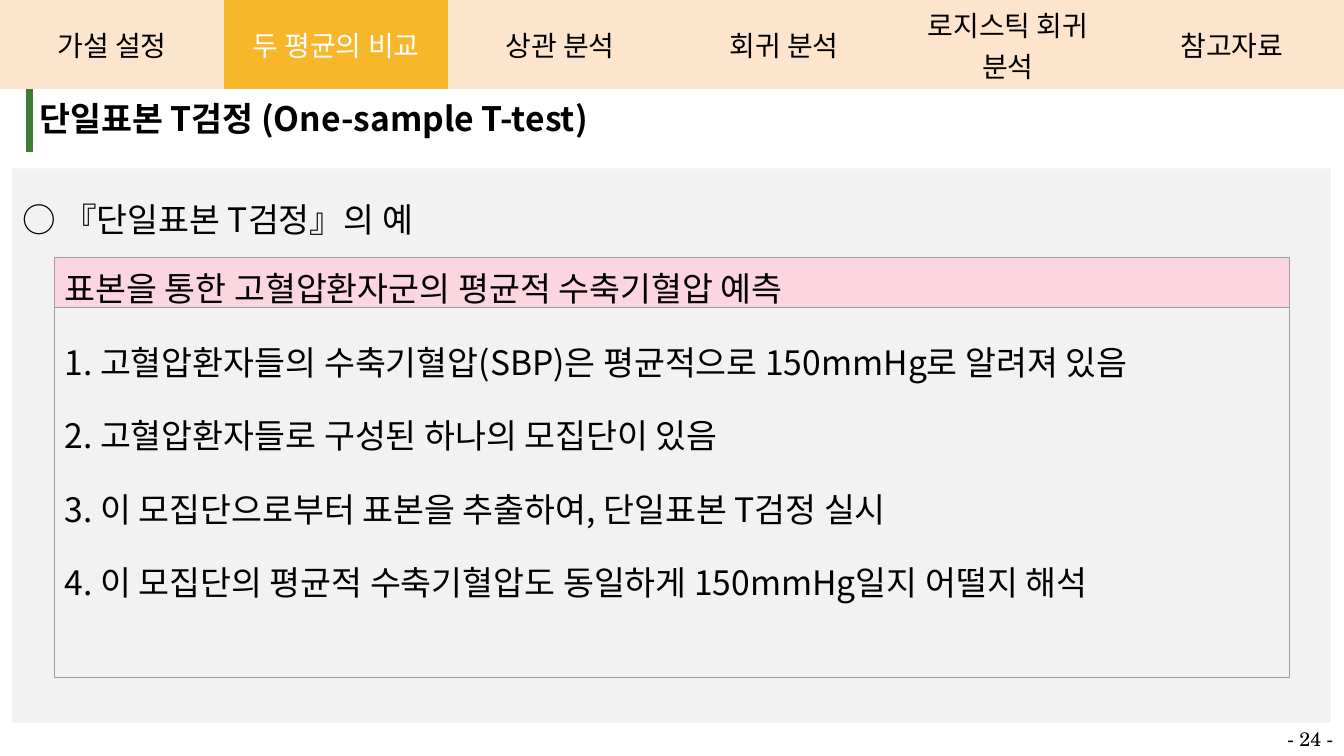
from lxml import etree
from pptx import Presentation
from pptx.dml.color import RGBColor
from pptx.enum.shapes import MSO_SHAPE
from pptx.enum.text import MSO_ANCHOR, MSO_AUTO_SIZE, PP_ALIGN
from pptx.oxml.ns import qn
from pptx.util import Inches, Pt

RECT = MSO_SHAPE.RECTANGLE
TOP, MIDDLE = MSO_ANCHOR.TOP, MSO_ANCHOR.MIDDLE
LEFT, CENTER = PP_ALIGN.LEFT, PP_ALIGN.CENTER
FIT_SHAPE = MSO_AUTO_SIZE.SHAPE_TO_FIT_TEXT

BLACK = RGBColor(0x00, 0x00, 0x00)
WHITE = RGBColor(0xFF, 0xFF, 0xFF)
PANEL = RGBColor(0xF2, 0xF2, 0xF2)
GREEN = RGBColor(0x3E, 0x7D, 0x33)
PEACH = RGBColor(0xFC, 0xE5, 0xCC)
ORANGE = RGBColor(0xF8, 0xB6, 0x2A)
PINK = RGBColor(0xFF, 0xC9, 0xD7)
GRAY = RGBColor(0x9E, 0x9E, 0x9E)

SIDES = ("L", "R", "T", "B")
SLIDE_W, SLIDE_H = 13.33, 7.5
TABS = ["가설 설정", "두 평균의 비교", "상관 분석", "회귀 분석", "로지스틱 회귀 분석", "참고자료"]
ACTIVE_TAB = "두 평균의 비교"
STEPS = [
    "1. 고혈압환자들의 수축기혈압(SBP)은 평균적으로 150mmHg로 알려져 있음",
    "2. 고혈압환자들로 구성된 하나의 모집단이 있음",
    "3. 이 모집단으로부터 표본을 추출하여, 단일표본 T검정 실시",
    "4. 이 모집단의 평균적 수축기혈압도 동일하게 150mmHg일지 어떨지 해석",
]


class SlideBuilder:
    """Draws styled panels, tables and text on one slide."""

    font = "Noto Sans CJK KR"
    number_font = "TeX Gyre Schola"

    def __init__(self, slide):
        self.slide = slide

    def add_text(self, tf, lines, size=24, color=BLACK, bold=False, align=LEFT,
                 spacing=None, font=None):
        for i, line in enumerate(lines):
            p = tf.paragraphs[0] if i == 0 else tf.add_paragraph()
            p.text = line
            p.alignment = align
            if spacing:
                p.line_spacing = spacing
            p.font.size = Pt(size)
            p.font.bold = bold
            p.font.color.rgb = color
            p.font.name = font or self.font
            latin = p.font._element.find(qn("a:latin"))
            ea = etree.Element(qn("a:ea"), typeface=font or self.font)
            latin.addnext(ea)

    def panel(self, x, y, w, h, fill, lines, **style):
        sp = self.slide.shapes.add_shape(RECT, Inches(x), Inches(y), Inches(w), Inches(h))
        sp.shadow.inherit = False
        sp.fill.solid()
        sp.fill.fore_color.rgb = fill
        sp.line.fill.background()
        tf = sp.text_frame
        tf.word_wrap = True
        tf.vertical_anchor = TOP
        tf.margin_top = Inches(0.1)
        self.add_text(tf, lines, **style)

    def table(self, x, y, widths, heights):
        frame = self.slide.shapes.add_table(
            len(heights), len(widths), Inches(x), Inches(y),
            Inches(sum(widths)), Inches(sum(heights)))
        table = frame.table
        table.first_row = table.horz_banding = False
        for column, w in zip(table.columns, widths):
            column.width = Inches(w)
        for row, h in zip(table.rows, heights):
            row.height = Inches(h)
        return table

    def cell(self, cell, lines, fill=None, alpha=None, anchor=TOP, margins=None,
             border=None, width=0.75, sides=SIDES, **style):
        cell.vertical_anchor = anchor
        if margins is not None:
            cell.margin_left = cell.margin_right = Inches(margins)
            cell.margin_top = cell.margin_bottom = Inches(margins)
        if fill is None:
            cell.fill.background()
        else:
            cell.fill.solid()
            cell.fill.fore_color.rgb = fill
        tc_pr = cell._tc.get_or_add_tcPr()
        if alpha:
            rgb = tc_pr.find(".//" + qn("a:srgbClr"))
            etree.SubElement(rgb, qn("a:alpha"), val=str(alpha * 1000))
        for i, side in enumerate(SIDES):
            ln = etree.Element(qn("a:ln" + side))
            if border is not None and side in sides:
                ln.set("w", str(Pt(width)))
                solid = etree.SubElement(ln, qn("a:solidFill"))
                etree.SubElement(solid, qn("a:srgbClr"), val=str(border))
            else:
                etree.SubElement(ln, qn("a:noFill"))
            tc_pr.insert(i, ln)
        self.add_text(cell.text_frame, lines, **style)

    def label(self, x, y, w, h, text, **style):
        sp = self.slide.shapes.add_textbox(Inches(x), Inches(y), Inches(w), Inches(h))
        tf = sp.text_frame
        tf.word_wrap = False
        tf.auto_size = FIT_SHAPE
        self.add_text(tf, [text], **style)


def main():
    prs = Presentation()
    prs.slide_width, prs.slide_height = Inches(SLIDE_W), Inches(SLIDE_H)
    s = SlideBuilder(prs.slides.add_slide(prs.slide_layouts[6]))

    s.panel(0.12, 1.67, 13.08, 5.5, PANEL, ["○ 『단일표본 T검정』의 예"], spacing=1.5)

    title = s.table(0.29, 0.82, [12.92], [0.6])
    s.cell(title.cell(0, 0), ["단일표본 T검정 (One-sample T-test)"], margins=0.1,
           border=GREEN, width=6, sides=("L",), bold=True)

    tabs = s.table(0, 0, [SLIDE_W / len(TABS)] * len(TABS), [0.75])
    for i, name in enumerate(TABS):
        active = name == ACTIVE_TAB
        s.cell(tabs.cell(0, i), [name], fill=ORANGE if active else PEACH,
               anchor=MIDDLE, margins=0.04, size=20, align=CENTER,
               color=WHITE if active else BLACK)

    s.label(12.67, 7.16, 0.66, 0.34, "- 24 -", size=14, font=s.number_font)

    example = s.table(0.54, 2.55, [12.25], [0.5, 3.67])
    s.cell(example.cell(0, 0), ["표본을 통한 고혈압환자군의 평균적 수축기혈압 예측"],
           fill=PINK, alpha=70, anchor=MIDDLE, border=GRAY)
    s.cell(example.cell(1, 0), STEPS, border=GRAY, spacing=1.5)

    prs.save("out.pptx")


if __name__ == "__main__":
    main()
